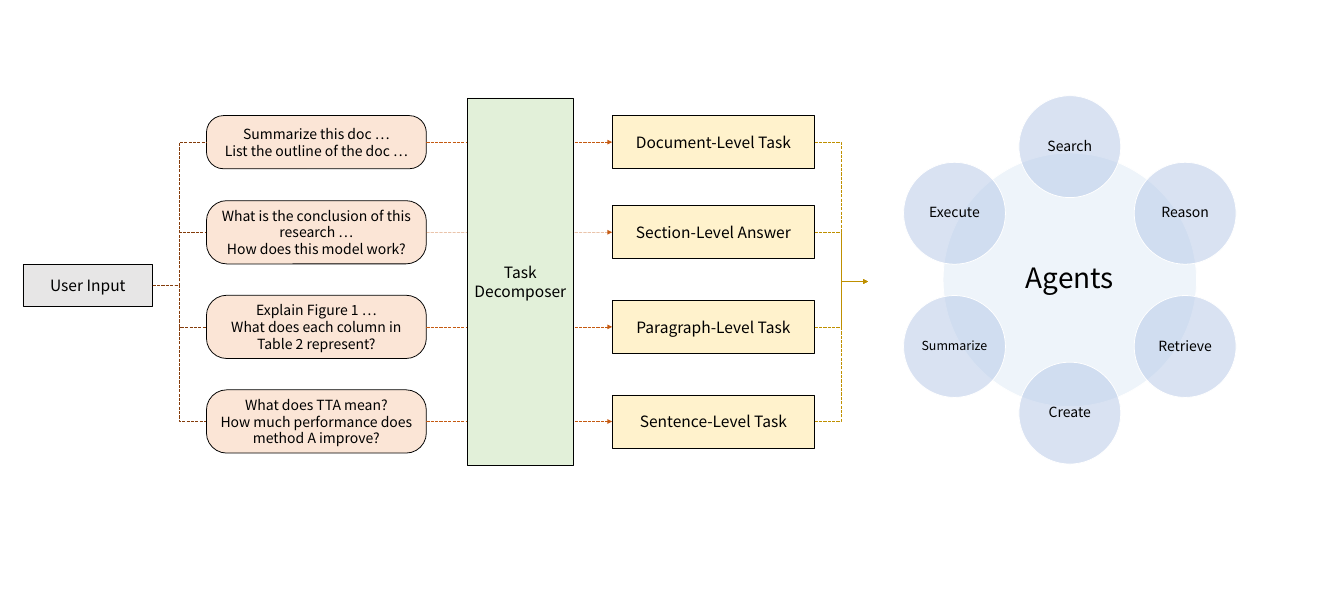
import math

import pptx
import pptx.dml.color
import pptx.enum.dml
import pptx.enum.shapes
import pptx.enum.text
import pptx.oxml
import pptx.oxml.ns
import pptx.util
from pptx.util import Inches

SHAPE = pptx.enum.shapes.MSO_SHAPE
CONNECTOR = pptx.enum.shapes.MSO_CONNECTOR
RIGHT, LEFT = 3, 1


def color(hex_code):
    return pptx.dml.color.RGBColor.from_string(hex_code)


def drawing_element(tag, attributes=""):
    namespace = pptx.oxml.ns.nsdecls("a")
    return pptx.oxml.parse_xml(f"<a:{tag} {namespace} {attributes}/>")


class Diagram:
    font = "Noto Sans CJK SC"
    ink = "000000"

    def __init__(self, slide):
        self.slide = slide

    def box(self, kind, left, top, width, height, fill, text, size, outline=ink):
        shape = self.slide.shapes.add_shape(
            kind, Inches(left), Inches(top), Inches(width), Inches(height))
        shape.shadow.inherit = False
        shape.fill.solid()
        shape.fill.fore_color.rgb = color(fill)
        shape.line.color.rgb = color(outline)
        shape.line.width = pptx.util.Pt(1)
        frame = shape.text_frame
        frame.word_wrap = True
        frame.vertical_anchor = pptx.enum.text.MSO_ANCHOR.MIDDLE
        frame.text = text
        for paragraph in frame.paragraphs:
            paragraph.alignment = pptx.enum.text.PP_ALIGN.CENTER
            for run in paragraph.runs:
                run.font.name = self.font
                run.font.size = pptx.util.Pt(size)
                run.font.color.rgb = color(self.ink)
        return shape

    def circle(self, center_x, center_y, diameter, fill, text, size):
        """A half-transparent circle with a white outline."""
        shape = self.box(SHAPE.OVAL, center_x - diameter / 2, center_y - diameter / 2,
                         diameter, diameter, fill, text, size, outline="FFFFFF")
        fill_color = shape.fill._xPr.find(pptx.oxml.ns.qn("a:solidFill"))[0]
        fill_color.append(drawing_element("alpha", 'val="50000"'))
        frame = shape.text_frame
        frame.margin_left = frame.margin_right = Inches(0.03)
        frame.margin_top = frame.margin_bottom = Inches(0.03)
        frame.paragraphs[0].line_spacing = 0.9
        return shape

    def link(self, kind, start, end, line, arrow=True):
        """Join the right side of start to the left side of end, a shape or a point."""
        begin_x, begin_y = start.left + start.width, start.top + start.height // 2
        joins_shape = not isinstance(end, tuple)
        if joins_shape:
            end_x, end_y = end.left, end.top + end.height // 2
        else:
            end_x, end_y = (Inches(value) for value in end)
        connector = self.slide.shapes.add_connector(kind, begin_x, begin_y, end_x, end_y)
        connector.begin_connect(start, RIGHT)
        if joins_shape:
            connector.end_connect(end, LEFT)
        connector.line.color.rgb = color(line)
        connector.line.width = pptx.util.Pt(0.5)
        connector.line.dash_style = pptx.enum.dml.MSO_LINE.LONG_DASH
        if arrow:
            connector.line._get_or_add_ln().append(
                drawing_element("tailEnd", 'type="triangle"'))
        connector._element.spPr.append(drawing_element("effectLst"))


def main():
    deck = pptx.Presentation()
    deck.slide_width, deck.slide_height = Inches(24.02), Inches(10.63)
    diagram = Diagram(deck.slides.add_slide(deck.slide_layouts[6]))

    # User input
    user_input = diagram.box(SHAPE.RECTANGLE, 0.41, 4.72, 2.32, 0.75,
                             "E7E6E6", "User Input", 20)

    # Prompts and the tasks they turn into: row centre, prompt height, texts
    rows = [
        (2.54, 0.95, "Summarize this doc …\nList the outline of the doc …",
         "Document-Level Task"),
        (4.15, 1.13, "What is the conclusion of this research …\nHow does this model work?",
         "Section-Level Answer"),
        (5.84, 1.13, "Explain Figure 1 …\nWhat does each column in Table 2 represent?",
         "Paragraph-Level Task"),
        (7.53, 1.13, "What does TTA mean?\nHow much performance does method A improve?",
         "Sentence-Level Task"),
    ]
    task_height = 0.95
    agents_entry = (15.51, 5.03)
    for center, prompt_height, prompt_text, task_text in rows:
        prompt = diagram.box(SHAPE.ROUNDED_RECTANGLE, 3.69, center - prompt_height / 2,
                             3.93, prompt_height, "FBE5D6", prompt_text, 18)
        prompt.adjustments[0] = 0.32
        task = diagram.box(SHAPE.RECTANGLE, 10.94, center - task_height / 2,
                           3.62, task_height, "FFF2CC", task_text, 20)
        diagram.link(CONNECTOR.ELBOW, user_input, prompt, "843C0B", arrow=False)
        diagram.link(CONNECTOR.STRAIGHT, prompt, task, "C55A11")
        diagram.link(CONNECTOR.ELBOW, task, agents_entry, "BF9000")

    # Task decomposer, over the arrows that pass through it
    diagram.box(SHAPE.RECTANGLE, 8.35, 1.75, 1.9, 6.57, "E2F0D9", "Task Decomposer", 20)

    # Agents: abilities spaced evenly clockwise from the top of the hub
    hub_x, hub_y, orbit = 19.12, 5, 2.38
    diagram.circle(hub_x, hub_y, 4.53, "DEEBF7", "Agents", 36)
    abilities = ["Search", "Reason", "Retrieve", "Create", "Summarize", "Execute"]
    for index, ability in enumerate(abilities):
        angle = 2 * math.pi * index / len(abilities)
        diagram.circle(hub_x + orbit * math.sin(angle), hub_y - orbit * math.cos(angle),
                       1.82, "B4C7E7", ability, 16 if ability == "Summarize" else 18)

    deck.save("out.pptx")


if __name__ == "__main__":
    main()
